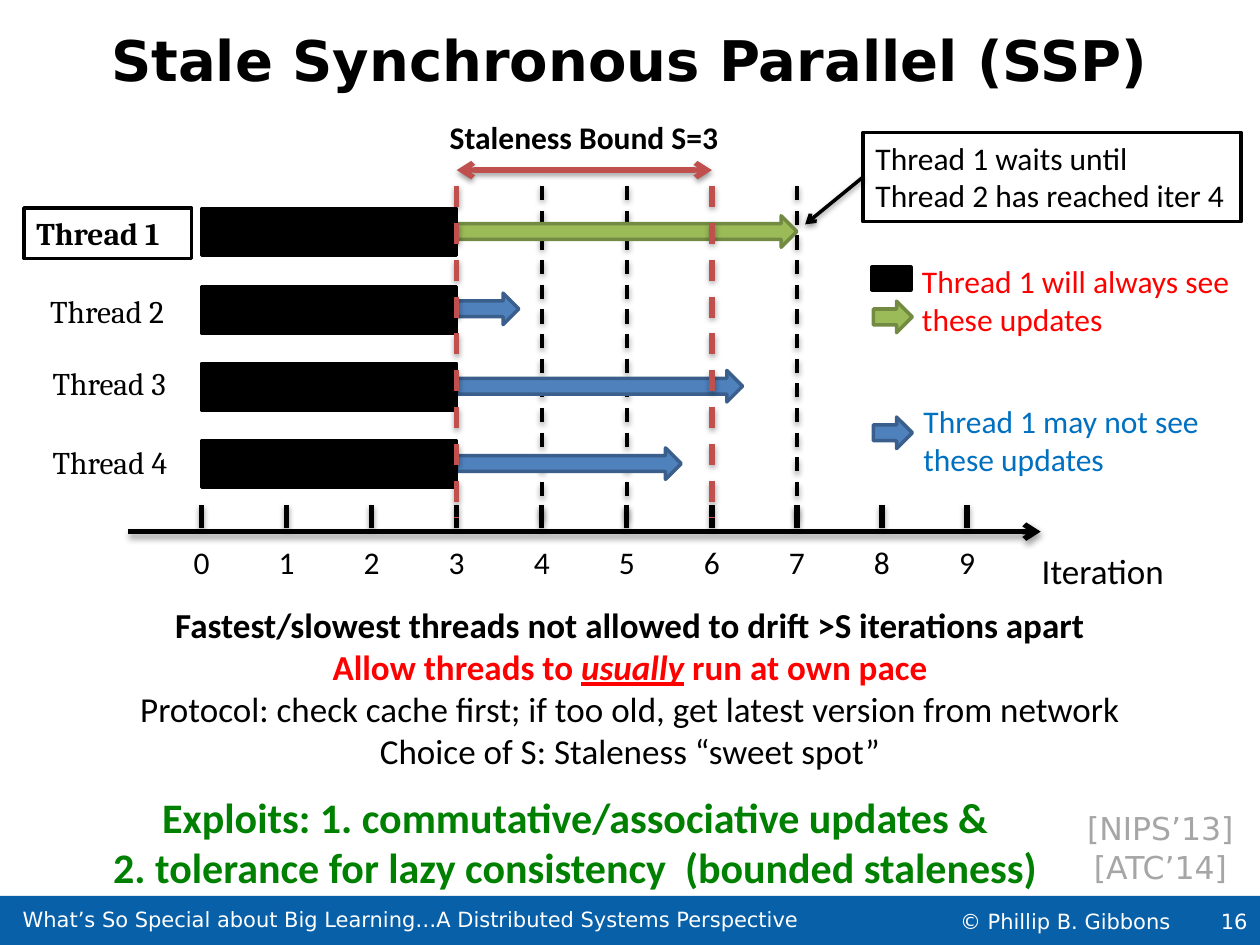
"""Build the Stale Synchronous Parallel slide."""
from lxml import etree
from pptx import Presentation
from pptx import util as u
from pptx.dml.color import RGBColor
from pptx.enum import dml, shapes, text
from pptx.oxml.ns import qn

COLORS = {
    "black": "000000", "white": "FFFFFF", "red": "FF0000", "brick": "C0504D",
    "blue": "4F81BD", "blue_edge": "3A5F8C", "green": "9BBB59", "green_edge": "738A42",
    "link": "0070C0", "forest": "008000", "grey": "A6A6A6", "footer": "0860A8",
}
SANS, BODY, SERIF = "DejaVu Sans", "Calibri", "Cambria"
RECT, ARROW = shapes.MSO_SHAPE.RECTANGLE, shapes.MSO_SHAPE.RIGHT_ARROW
LEFT, CENTER, RIGHT = text.PP_ALIGN.LEFT, text.PP_ALIGN.CENTER, text.PP_ALIGN.RIGHT
TOP, MIDDLE = text.MSO_ANCHOR.TOP, text.MSO_ANCHOR.MIDDLE

TITLE = "Stale Synchronous Parallel (SSP)"
THREADS = [  # name, label box, arrow length in iterations, arrow colour
    ("Thread 1", (13.7, 118.8, 95.8, 29), 4, "green"),
    ("Thread 2", (21.6, 163.4, 87.1, 29), 0.73, "blue"),
    ("Thread 3", (23, 204.5, 86.4, 29), 3.36, "blue"),
    ("Thread 4", (23, 249.8, 87.1, 29), 2.64, "blue"),
]
ITERATIONS = range(10)
DONE, BOUND = 3, 3
BLACK_GUIDES, RED_GUIDES = (4, 5, 7), (DONE, DONE + BOUND)
WAIT_NOTE = ["Thread 1 waits until", "Thread 2 has reached iter 4"]
LEGEND = [
    (["Thread 1 will always see", "these updates"], (519.8, 146.2, 192.2, 51.1), "red"),
    (["Thread 1 may not see", "these updates"], (520.6, 226.1, 180, 51.1), "link"),
]
TAKEAWAYS = [  # runs of text and style, colour, bold
    ([("Fastest/slowest threads not allowed to drift >S iterations apart", False)], "black", True),
    ([("Allow threads to ", False), ("usually", True), (" run at own pace", False)], "red", True),
    ([("Protocol: check cache first; if too old, get latest version from network", False)],
     "black", False),
    ([("Choice of S: Staleness “sweet spot”", False)], "black", False),
]
EXPLOITS = ("Exploits: 1. commutative/associative updates &\v"
            "2. tolerance for lazy consistency  (bounded staleness)")
CITATIONS = [("[NIPS’13]", (601.9, 458.6, 122.4, 29)), ("[ATC’14]", (607, 481, 112.3, 29))]
FOOTER = [
    ("What’s So Special about Big Learning…A Distributed Systems Perspective",
     (13, 519.1, 465, 12.2)),
    ("© Phillip B. Gibbons", (548.6, 516.2, 140, 20.2)),
]
X0, STEP = 115.2, 48.6
ROW0, ROW_STEP, BAR_H, ARROW_H = 119.5, 44.2, 26.6, 18
GUIDE_TOP, GUIDE_BOTTOM, AXIS_Y = 106.4, 296, 303.8


def rgb(name):
    return RGBColor.from_string(COLORS[name])


def iter_x(i):
    return X0 + STEP * i


def style(r, size, color, font=BODY, bold=False):
    r.font.size, r.font.name, r.font.bold = u.Pt(size), font, bold
    r.font.color.rgb = rgb(color)


def place(sp, box):
    sp.left, sp.top, sp.width, sp.height = map(u.Pt, box)


def write(sp, lines, size=18, color="black", font=BODY, bold=False, align=LEFT,
          anchor=TOP, wrap=False, inset=None):
    tf = sp.text_frame
    tf.word_wrap, tf.vertical_anchor = wrap, anchor
    if inset is not None:
        tf.margin_left = tf.margin_right = tf.margin_top = tf.margin_bottom = u.Pt(inset)
    tf.text = "\n".join(lines)
    for p in tf.paragraphs:
        p.alignment = align
        for r in p.runs:
            style(r, size, color, font, bold)


def add_text(s, box, lines, **options):
    write(s.shapes.add_textbox(*map(u.Pt, box)), lines, **options)


def add_box(s, kind, box, fill=None, edge=None):
    sp = s.shapes.add_shape(kind, *map(u.Pt, box))
    sp.shadow.inherit = False
    if fill:
        sp.fill.solid()
        sp.fill.fore_color.rgb = rgb(fill)
    else:
        sp.fill.background()
    if edge:
        sp.line.color.rgb, sp.line.width = rgb(edge), u.Pt(2)
    else:
        sp.line.fill.background()
    return sp


def add_line(s, x1, y1, x2, y2, color="black", width=3, dash=False, ends=()):
    c = s.shapes.add_connector(shapes.MSO_CONNECTOR.STRAIGHT, *map(u.Pt, (x1, y1, x2, y2)))
    c.line.color.rgb, c.line.width = rgb(color), u.Pt(width)
    if dash:
        c.line.dash_style = dml.MSO_LINE.DASH
    ln = c.element.spPr.find(qn("a:ln"))
    for end in ends:
        etree.SubElement(ln, qn(f"a:{end}"), type="arrow")
    return c


def add_guides(s, iterations, color, width):
    for i in iterations:
        add_line(s, iter_x(i), GUIDE_TOP, iter_x(i), GUIDE_BOTTOM, color, width, dash=True)


def add_footer(s):
    bar = add_box(s, RECT, (0, 511.9, 720, 28.8), "footer")
    write(bar, ["16"], 12, "white", SANS, align=RIGHT, anchor=MIDDLE)
    for line, box in FOOTER:
        add_text(s, box, [line], size=12, color="white", font=SANS, anchor=MIDDLE, inset=0)


def add_timeline(s):
    add_guides(s, BLACK_GUIDES, "black", 2)
    rows = [ROW0 + ROW_STEP * i for i in range(len(THREADS))]
    for (_, _, length, color), y in zip(THREADS, rows):
        add_box(s, ARROW, (iter_x(DONE), y + 3.8, STEP * length, ARROW_H), color, color + "_edge")
    add_line(s, 73.4, AXIS_Y, 594.7, AXIS_Y, ends=["tailEnd"])
    add_text(s, (588.2, 310.3, 87.1, 31.7), ["Iteration"], size=20)
    for i in ITERATIONS:
        add_line(s, iter_x(i), 288.7, iter_x(i), 301.7)
        add_text(s, (iter_x(i) - 11.9, 306.7, 23.8, 29), [str(i)], align=CENTER)
    for y in rows:
        add_box(s, RECT, (X0, y, STEP * DONE, BAR_H), "black", "black")
    add_guides(s, RED_GUIDES, "brick", 3)
    for i, (name, box, _, _) in enumerate(THREADS):
        if i == 0:
            write(add_box(s, RECT, box, "white", "black"), [name], font=SERIF, bold=True)
        else:
            add_text(s, box, [name], font=SERIF)
    start, end = map(iter_x, RED_GUIDES)
    add_line(s, start, 97.2, end, 97.2, "brick", ends=["headEnd", "tailEnd"])
    add_text(s, (249.1, 64.1, 169.2, 29), ["Staleness Bound S=3"], bold=True, align=CENTER)


def add_notes_and_legend(s):
    note = add_box(s, RECT, (493.2, 75.6, 216, 51.1), "white", "black")
    write(note, WAIT_NOTE)
    add_line(s, 493.2, 101.1, 460.1, 128.2, width=2, ends=["tailEnd"]).begin_connect(note, 1)
    add_box(s, RECT, (498.2, 152.6, 22.3, 13), "black", "black")
    for y, color in ((172.1, "green"), (238.3, "blue")):
        add_box(s, ARROW, (499, y, 22.3, ARROW_H), color, color + "_edge")
    for lines, box, color in LEGEND:
        add_text(s, box, lines, color=color)


def add_takeaways(sp):
    place(sp, (0, 341.3, 720, 104.4))
    tf = sp.text_frame
    tf.auto_size, tf.vertical_anchor = text.MSO_AUTO_SIZE.NONE, TOP
    for i, (runs, color, bold) in enumerate(TAKEAWAYS):
        p = tf.add_paragraph() if i else tf.paragraphs[0]
        p.alignment, p.space_before = CENTER, u.Pt(0)
        pPr = p._p.get_or_add_pPr()
        pPr.set("marL", "0")
        pPr.set("indent", "0")
        etree.SubElement(pPr, qn("a:buNone"))
        for words, stressed in runs:
            r = p.add_run()
            r.text = words
            style(r, 20, color, bold=bold)
            r.font.italic = r.font.underline = stressed


def main():
    prs = Presentation()
    prs.slide_width, prs.slide_height = u.Pt(720), u.Pt(540)
    s = prs.slides.add_slide(prs.slide_layouts[1])
    place(s.shapes.title, (0, 14.4, 720, 69.8))
    write(s.shapes.title, [TITLE], 32, font=SANS, bold=True, align=CENTER, wrap=True, inset=0)
    s.shapes.title.text_frame.auto_size = text.MSO_AUTO_SIZE.NONE
    add_footer(s)
    add_timeline(s)
    add_notes_and_legend(s)
    add_takeaways(s.placeholders[1])
    exploits = add_box(s, RECT, (38.9, 457.2, 579.6, 47.5), edge="white")
    write(exploits, [EXPLOITS], 24, "forest", bold=True, align=CENTER, anchor=MIDDLE, wrap=True)
    for line, box in CITATIONS:
        add_text(s, box, [line], color="grey", font=SANS, align=CENTER, wrap=True)
    prs.save("out.pptx")


if __name__ == "__main__":
    main()
